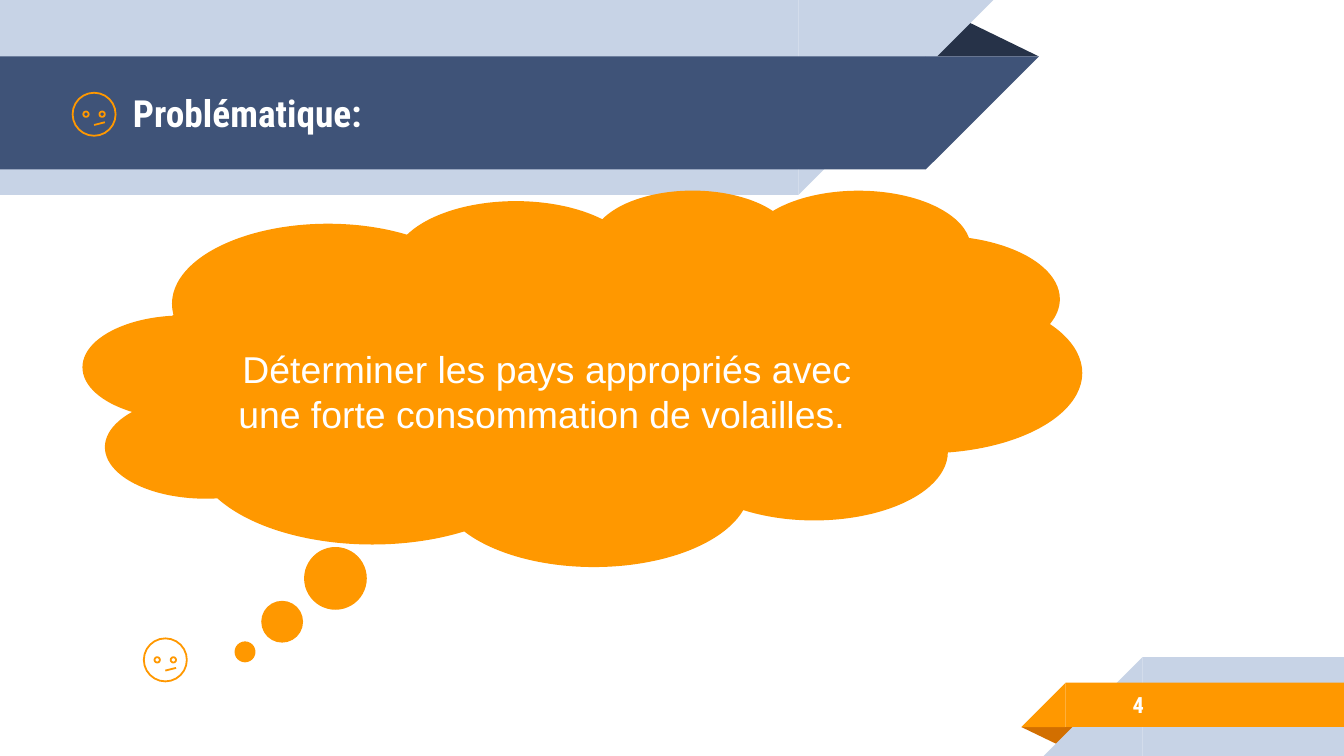
from pptx import Presentation
from pptx.dml.color import RGBColor
from pptx.enum.shapes import MSO_CONNECTOR, MSO_SHAPE
from pptx.enum.text import MSO_ANCHOR, PP_ALIGN
from pptx.oxml.ns import qn
from pptx.util import Inches, Pt
from lxml import etree

RECT, OVAL = MSO_SHAPE.RECTANGLE, MSO_SHAPE.OVAL
WEDGE, FOLD = MSO_SHAPE.RIGHT_TRIANGLE, MSO_SHAPE.ISOSCELES_TRIANGLE
CLOUD = MSO_SHAPE.CLOUD_CALLOUT
LINE = MSO_CONNECTOR.STRAIGHT
MIDDLE = MSO_ANCHOR.MIDDLE
LEFT, CENTER = PP_ALIGN.LEFT, PP_ALIGN.CENTER

THEME = {
    "pale": "C7D3E6", "navy": "3F5378", "dark": "263248",
    "orange": "FF9800", "rust": "D26F00", "white": "FFFFFF",
    "head": "Roboto Condensed", "body": "Arial",
    "title": 20, "number": 12, "thought": 20, "stroke": 0.96,
}

TITLE = "Problématique:"
NUMBER = "4"
THOUGHT = "Déterminer les pays appropriés avec une forte consommation de volailles. "

WIDE = 10
HIGH = WIDE * 9 / 16

# Bands: top, height, inner edge of the square-ended part, colour
HEAD = [(0, 1.45, 5.94, "pale"), (0.42, 0.84, 6.89, "navy")]
FOOT = [(4.89, HIGH - 4.89, 8.5, "pale"), (5.08, 0.33, 7.93, "orange")]
FACES = [(0.54, 0.69), (1.07, 4.75)]

# Parts of a face, measured from its top left corner
FACE, EYE = 0.32, 0.04
EYES = [(0.08, 0.14), (0.2, 0.14)]
MOUTH = (0.16, 0.24, 0.24, 0.22)


def color(name):
    return RGBColor.from_string(THEME[name])


def add(kind, box, fill=None, line=None):
    shape = slide.shapes.add_shape(kind, *map(Inches, box))
    shape.shadow.inherit = False
    if fill:
        shape.fill.solid()
        shape.fill.fore_color.rgb = color(fill)
    else:
        shape.fill.background()
    if line:
        shape.line.color.rgb = color(line)
        shape.line.width = Pt(THEME["stroke"])
    else:
        shape.line.fill.background()
    return shape


def mirror(shape):
    shape.element.spPr.find(qn("a:xfrm")).set("flipH", "1")


def write(shape, text, font, size, align, pads, bold=False):
    """Set one run of white text; pads are left, top, right, bottom."""
    frame = shape.text_frame
    frame.word_wrap = True
    frame.vertical_anchor = MIDDLE
    (frame.margin_left, frame.margin_top,
     frame.margin_right, frame.margin_bottom) = map(Inches, pads)
    para = frame.paragraphs[0]
    para.alignment = align
    run = para.add_run()
    run.text = text
    run.font.name = THEME[font]
    run.font.size = Pt(THEME[size])
    run.font.bold = bold
    run.font.color.rgb = color("white")


def label(box, text, size):
    shape = slide.shapes.add_textbox(*map(Inches, box))
    write(shape, text, "head", size, LEFT, [0.1] * 4, bold=True)


def draw_head():
    add(FOLD, (6.88, 0.14, 0.85, 0.28), "dark").adjustments[0] = 0.324
    for top, high, edge, fill in HEAD:
        add(RECT, (0, top, edge, high), fill)
        wedge = add(WEDGE, (edge, top, high, high), fill)
        wedge.rotation = 180
        mirror(wedge)


def draw_foot():
    fold = add(FOLD, (7.6, 5.41, 0.43, 0.14), "rust")
    fold.adjustments[0] = 0.324
    fold.rotation = 180
    for top, high, edge, fill in FOOT:
        add(RECT, (edge, top, WIDE - edge, high), fill)
        mirror(add(WEDGE, (edge - high, top, high, high), fill))


def draw_face(x, y):
    add(OVAL, (x, y, FACE, FACE), line="orange")
    for dx, dy in EYES:
        add(OVAL, (x + dx, y + dy, EYE, EYE), line="orange")
    x1, y1, x2, y2 = MOUTH
    ends = (x + x1, y + y1, x + x2, y + y2)
    mouth = slide.shapes.add_connector(LINE, *map(Inches, ends))
    mouth.line.color.rgb = color("orange")
    mouth.line.width = Pt(THEME["stroke"])
    etree.SubElement(mouth.element.spPr, qn("a:effectLst"))


deck = Presentation()
deck.slide_width, deck.slide_height = Inches(WIDE), Inches(HIGH)
slide = deck.slides.add_slide(deck.slide_layouts[6])

draw_head()
draw_foot()
label((8.33, 5.07, 1.63, 0.35), NUMBER, "number")
label((0.89, 0.42, 5.75, 0.84), TITLE, "title")
for spot in FACES:
    draw_face(*spot)

cloud = add(CLOUD, (0.62, 1.41, 7.43, 2.8), "orange")
cloud.adjustments[0], cloud.adjustments[1] = -0.338, 0.729
write(cloud, THOUGHT, "body", "thought", CENTER, (0.1, 0.38, 0.1, 0.05))

deck.save("out.pptx")
